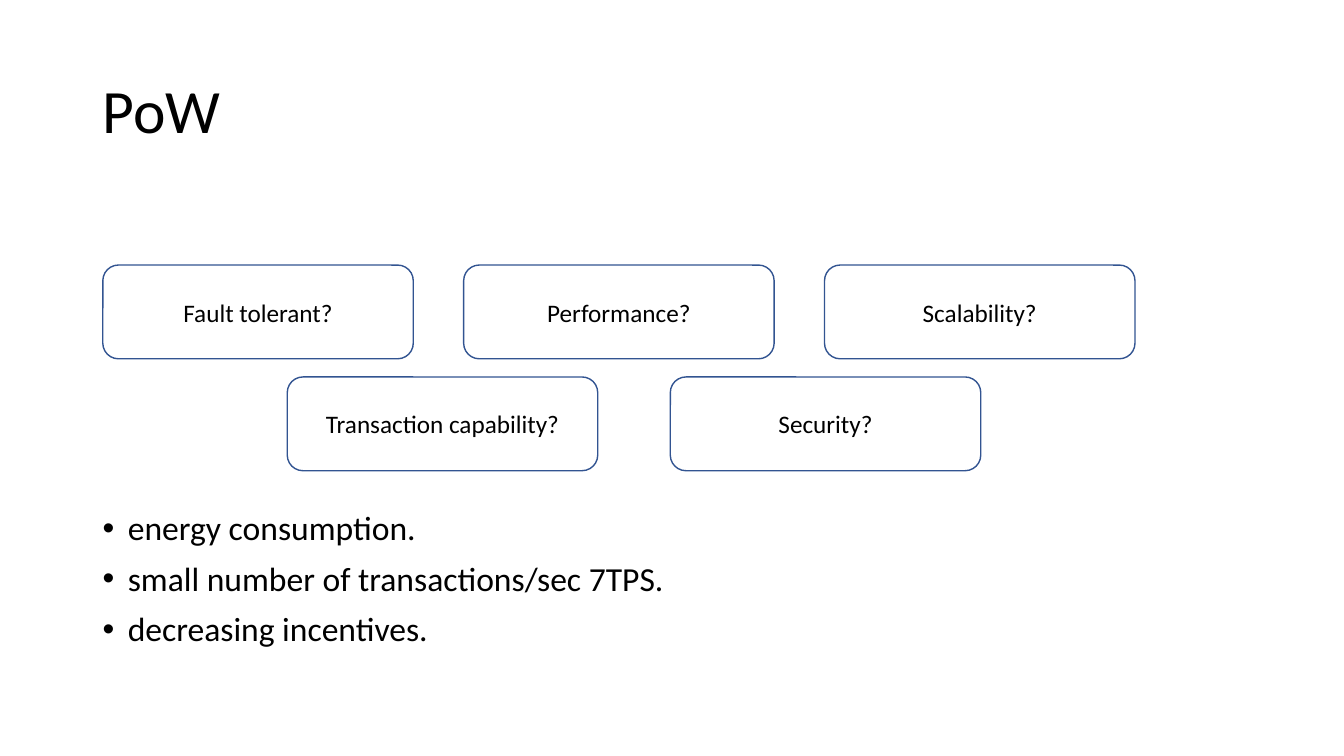
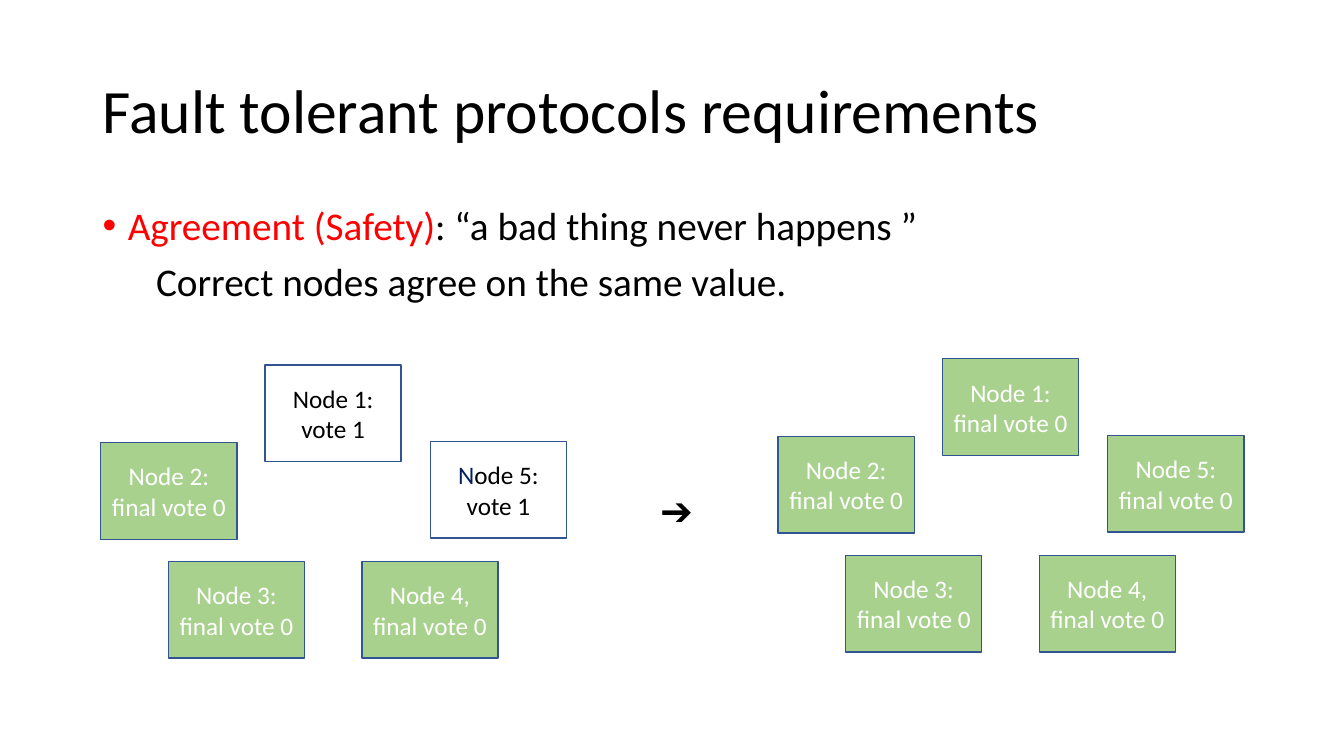
"""Builds two slides on proof of work and fault tolerant protocol requirements."""
from lxml import etree
from pptx import Presentation
from pptx import util as u
from pptx.dml.color import RGBColor
from pptx.enum import shapes, text
from pptx.oxml.ns import qn

PX = 9144
FONT = "Calibri"
BLACK, WHITE, RED, NAVY = "000000", "FFFFFF", "FF0000", "002060"
OUTLINE, GREEN = "325491", "A9D18E"
LEFT, CENTER = text.PP_ALIGN.LEFT, text.PP_ALIGN.CENTER
ROUNDED, SQUARE = shapes.MSO_SHAPE.ROUNDED_RECTANGLE, shapes.MSO_SHAPE.RECTANGLE


def rgb(value):
    return RGBColor.from_string(value)


def write(frame, lines, size, color=BLACK, align=LEFT, anchor=text.MSO_ANCHOR.MIDDLE):
    frame.word_wrap = True
    frame.vertical_anchor = anchor
    frame.text = "\n".join(lines)
    for paragraph in frame.paragraphs:
        paragraph.alignment = align
        for run in paragraph.runs:
            run.font.name = FONT
            run.font.size = u.Pt(size)
            run.font.color.rgb = rgb(color)


deck = Presentation()
deck.slide_width, deck.slide_height = u.Emu(12192000), u.Emu(6858000)

pow_boxes = [
    (ROUNDED, 102 + 358 * i, 263, 308, 93, [label], None, BLACK)
    for i, label in enumerate(["Fault tolerant?", "Performance?", "Scalability?"])
] + [
    (ROUNDED, 285 + 380 * i, 374, 308, 93, [label], None, BLACK)
    for i, label in enumerate(["Transaction capability?", "Security?"])
]

ring = [("Node 1:", 163, 0), ("Node 2:", 0, 77), ("Node 3:", 67, 195),
        ("Node 4,", 259, 195), ("Node 5:", 327, 76)]
node_boxes = []
for left, top, dissenters in [(100, 362, ("Node 1:", "Node 5:")), (772, 356, ())]:
    for node, dx, dy in ring:
        vote, fill, ink = ("vote 1", None, BLACK) if node in dissenters else ("final vote 0", GREEN, WHITE)
        node_boxes.append((SQUARE, left + dx, top + dy, 135, 96, [node, vote], fill, ink))

pow_points = ["energy consumption.", "small number of transactions/sec 7TPS.", "decreasing incentives."]
safety_points = ["Agreement (Safety): “a bad thing never happens ”", "Correct nodes agree on the same value."]

pages = [
    ("PoW", 503, 173, 24, pow_points, 3, pow_boxes),
    ("Fault tolerant protocols requirements", 200, 130, 28, safety_points, 1, node_boxes),
]

for heading, body_top, body_height, body_size, points, bullet_count, boxes in pages:
    slide = deck.slides.add_slide(deck.slide_layouts[6])
    title = slide.shapes.add_textbox(92 * PX, 40 * PX, 1150 * PX, 145 * PX).text_frame
    write(title, [heading], 44)
    title.paragraphs[0].line_spacing = 0.9

    body = slide.shapes.add_textbox(92 * PX, body_top * PX, 1150 * PX, body_height * PX).text_frame
    write(body, points, body_size, anchor=text.MSO_ANCHOR.TOP)
    for i, paragraph in enumerate(body.paragraphs):
        paragraph.line_spacing = 0.9
        paragraph.space_before = u.Pt(10)
        properties = paragraph._p.get_or_add_pPr()
        if i < bullet_count:
            properties.set("marL", str(25 * PX))
            properties.set("indent", str(-25 * PX))
            etree.SubElement(properties, qn("a:buFont")).set("typeface", "Arial")
            etree.SubElement(properties, qn("a:buChar")).set("char", "•")
        else:
            properties.set("marL", str(53 * PX))

    for outline, x, y, width, height, label, fill, ink in boxes:
        box = slide.shapes.add_shape(outline, x * PX, y * PX, width * PX, height * PX)
        box.shadow.inherit = False
        box.line.color.rgb = rgb(OUTLINE)
        box.line.width = u.Pt(1)
        if fill:
            box.fill.solid()
            box.fill.fore_color.rgb = rgb(fill)
        else:
            box.fill.background()
        write(box.text_frame, label, 18, ink, CENTER)
        if label == ["Node 5:", "vote 1"]:
            two_tone_node = box.text_frame

for frame, accent, rest, size, color in [
    (body, "Agreement (Safety)", ": “a bad thing never happens ”", 28, RED),
    (two_tone_node, "N", "ode 5:", 18, NAVY),
]:
    first = frame.paragraphs[0]
    first.runs[0].text = accent
    first.runs[0].font.color.rgb = rgb(color)
    remainder = first.add_run()
    remainder.text = rest
    remainder.font.name = FONT
    remainder.font.size = u.Pt(size)
    remainder.font.color.rgb = rgb(BLACK)

arrow = slide.shapes.add_textbox(645 * PX, 483 * PX, 60 * PX, 53 * PX).text_frame
write(arrow, ["➔"], 28, anchor=text.MSO_ANCHOR.TOP)
arrow.paragraphs[0].line_spacing = 0.9

deck.save("out.pptx")
